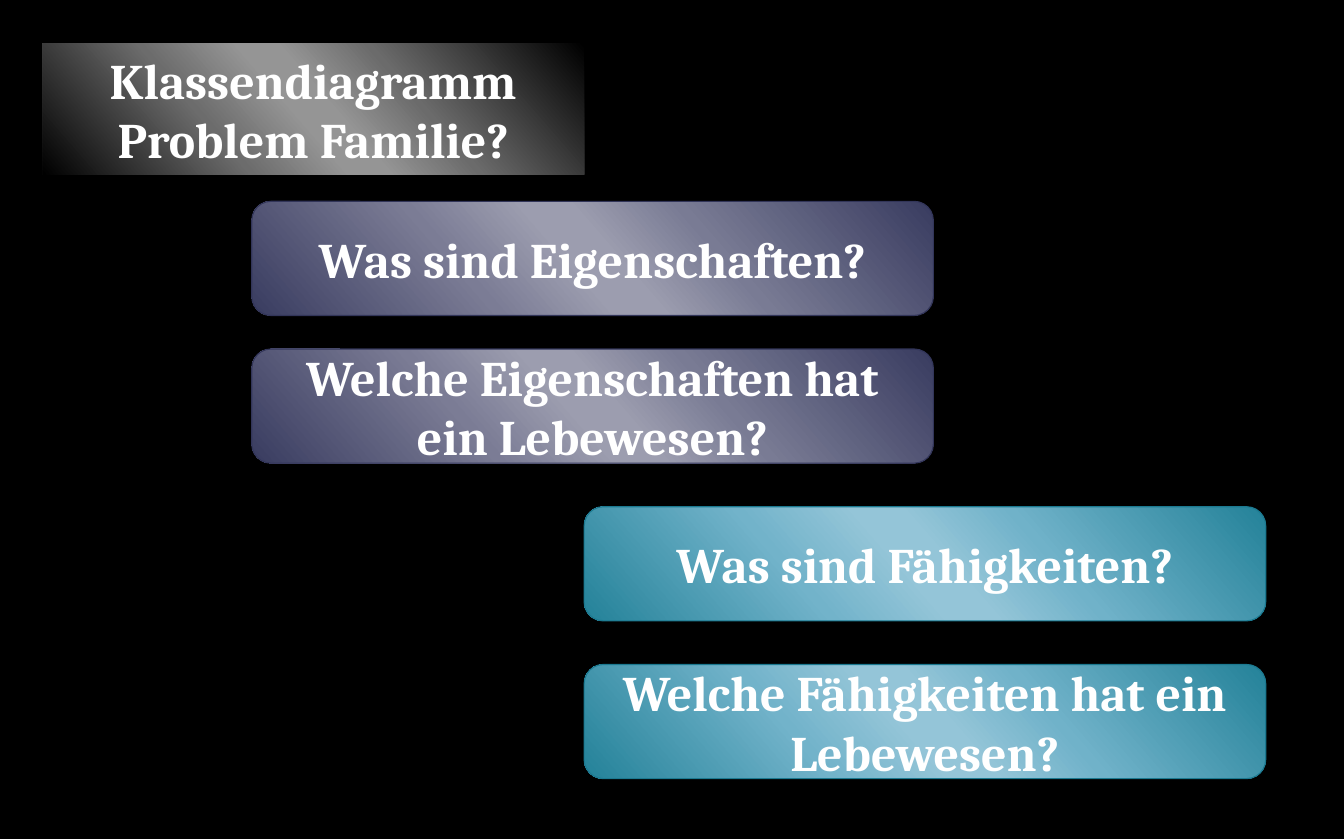
from copy import deepcopy
from dataclasses import dataclass

from pptx import Presentation
from pptx.dml.color import RGBColor
from pptx.enum.shapes import MSO_SHAPE as Shape
from pptx.enum.text import MSO_ANCHOR as Anchor, MSO_AUTO_SIZE as AutoSize, PP_ALIGN as Align
from pptx.oxml import parse_xml
from pptx.oxml.ns import nsdecls, qn
from pptx.util import Inches, Pt


@dataclass(frozen=True)
class Theme:
    font: str = "Cambria"
    size: int = 32
    text: str = "FFFFFF"
    background: str = "000000"
    positions: tuple = (0, 0.33, 0.47, 0.53, 0.68, 1)
    gradient_angle: int = 221
    black: tuple = ("000000", "6B6B6B", "959595", "959595", "6C6C6C", "000000")
    violet: tuple = ("393C60", "797B94", "9C9DAF", "9C9DAF", "7B7C95", "393C60")
    violet_line: str = "323559"
    teal: tuple = ("248299", "70B2C9", "94C5D8", "94C5D8", "72B3CA", "248299")
    teal_line: str = "1B7990"


THEME = Theme()


def write_text(card, *lines, size=THEME.size, color=THEME.text, bold=True):
    frame = card.text_frame
    frame.word_wrap = True
    frame.auto_size = AutoSize.NONE
    frame.vertical_anchor = Anchor.MIDDLE
    frame.text = "\n".join(lines)
    for paragraph in frame.paragraphs:
        paragraph.alignment = Align.CENTER
        font = paragraph.font
        font.name, font.size, font.bold = THEME.font, Pt(size), bold
        font.color.rgb = RGBColor.from_string(color)


def paint(card, colors, line=None):
    card.fill.gradient()
    card.fill.gradient_angle = THEME.gradient_angle
    stop_list = card.element.spPr.find(f".//{qn('a:gsLst')}")
    for _ in range(len(colors) - len(stop_list)):
        stop_list.append(deepcopy(stop_list[0]))
    for stop, position, color in zip(card.fill.gradient_stops, THEME.positions, colors):
        stop.position = position
        stop.color.rgb = RGBColor.from_string(color)
    if line:
        card.line.color.rgb = RGBColor.from_string(line)
        card.line.width = Pt(0.75)
    else:
        card.line.fill.background()


def add_heading(slide, left, top, width, height):
    heading = slide.shapes.title
    heading.left, heading.top = Inches(left), Inches(top)
    heading.width, heading.height = Inches(width), Inches(height)
    heading.element.spPr.append(
        parse_xml(f'<a:prstGeom {nsdecls("a")} prst="roundRect"><a:avLst/></a:prstGeom>')
    )
    paint(heading, THEME.black)
    write_text(heading, "Klassendiagramm", "Problem Familie?")


def add_questions(slide, left, top, width, height, questions, colors, line, pitch):
    for row, question in enumerate(questions):
        card = slide.shapes.add_shape(
            Shape.ROUNDED_RECTANGLE,
            Inches(left), Inches(top + row * pitch), Inches(width), Inches(height),
        )
        card.shadow.inherit = False
        paint(card, colors, line)
        write_text(card, question)


def main():
    deck = Presentation()
    deck.slide_width, deck.slide_height = Inches(12.01), Inches(7.5)
    slide = deck.slides.add_slide(deck.slide_layouts[5])
    slide.background.fill.solid()
    slide.background.fill.fore_color.rgb = RGBColor.from_string(THEME.background)

    add_heading(slide, 0.38, 0.39, 4.84, 1.17)
    add_questions(
        slide, 2.25, 1.8, 6.09, 1.02,
        ("Was sind Eigenschaften?", "Welche Eigenschaften hat ein Lebewesen?"),
        THEME.violet, THEME.violet_line, pitch=1.32,
    )
    add_questions(
        slide, 5.22, 4.53, 6.09, 1.02,
        ("Was sind Fähigkeiten?", "Welche Fähigkeiten hat ein Lebewesen?"),
        THEME.teal, THEME.teal_line, pitch=1.41,
    )
    deck.save("out.pptx")


if __name__ == "__main__":
    main()
